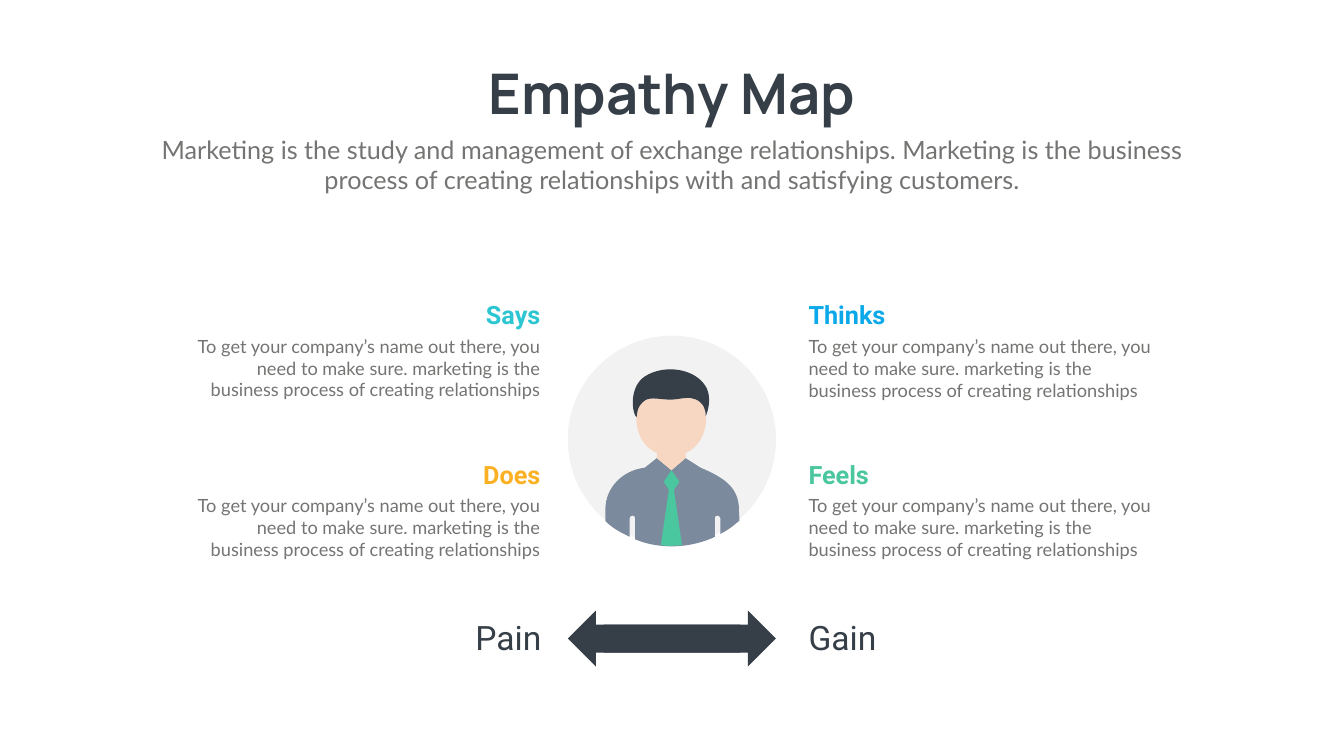
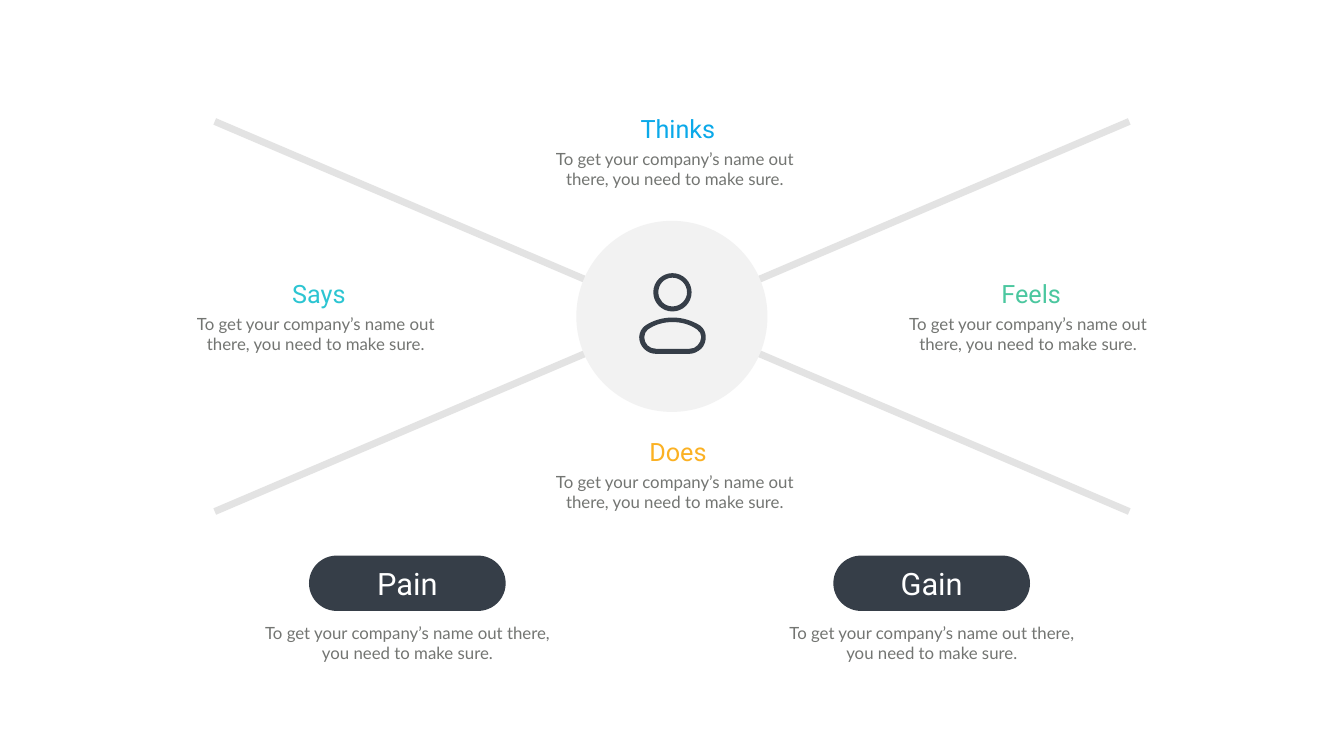
from lxml.etree import SubElement
from pptx import Presentation
from pptx.dml.color import RGBColor
from pptx.enum.shapes import MSO_CONNECTOR, MSO_SHAPE
from pptx.enum.text import MSO_ANCHOR, MSO_AUTO_SIZE, PP_ALIGN
from pptx.oxml.ns import qn
from pptx.util import Cm, Pt

WHITE = RGBColor(0xFF, 0xFF, 0xFF)
DARK = RGBColor(0x36, 0x3E, 0x48)
GREY = RGBColor(0x73, 0x75, 0x72)
PALE = RGBColor(0xF2, 0xF2, 0xF2)
RULE = RGBColor(0xE3, 0xE3, 0xE3)
TEAL = RGBColor(0x2C, 0xC5, 0xD2)
AMBER = RGBColor(0xFB, 0xB1, 0x23)
BLUE = RGBColor(0x0B, 0xA9, 0xE9)
GREEN = RGBColor(0x4B, 0xC7, 0x9F)
SLATE = RGBColor(0x7B, 0x8A, 0x9C)
SKIN = RGBColor(0xF7, 0xD7, 0xC2)

TITLE = {"name": "Manrope", "size": Pt(80), "bold": True}
SUBTITLE = {"name": "Lato", "size": Pt(36)}
HEADING = {"name": "Roboto", "size": Pt(36)}
BOLD_HEADING = {**HEADING, "bold": True}
BODY = {"name": "Lato", "size": Pt(26)}
SMALL_BODY = {"name": "Lato", "size": Pt(24)}
SCALE_LABEL = {"name": "Roboto", "size": Pt(48)}
PILL_LABEL = {"name": "Roboto", "size": Pt(44)}

LEFT, CENTER, RIGHT = PP_ALIGN.LEFT, PP_ALIGN.CENTER, PP_ALIGN.RIGHT
HEADING_WIDTH, HEADING_HEIGHT = 8.28, 1.8
GRID = Cm(2.54) / 100

LONG_TEXT = ("To get your company’s name out there, you need to make sure. "
             "marketing is the business process of creating relationships")
SHORT_TEXT = "To get your company’s name out there, you need to make sure."
INTRO = ("Marketing is the study and management of exchange relationships. "
         "Marketing is the business process of creating relationships with "
         "and satisfying customers.")

SHIRT = [
    (1303, 909), (1332, 933), (1360, 909), (1390, 928),
    (1432, 946, 1466, 965, 1466, 1011), (1466, 1015), (1467, 1033), (1462, 1037),
    (1452, 1046, 1441, 1053, 1430, 1059), (1429, 1060), (1429, 1028),
    (1429, 1025, 1426, 1023, 1423, 1023), (1420, 1023, 1418, 1025, 1418, 1028),
    (1418, 1065), (1412, 1068), (1388, 1078, 1361, 1084, 1333, 1084),
    (1312, 1084, 1292, 1081, 1273, 1075), (1260, 1070), (1260, 1028),
    (1260, 1025, 1258, 1023, 1255, 1023), (1252, 1023, 1249, 1025, 1249, 1028),
    (1249, 1065), (1237, 1059), (1225, 1053, 1214, 1046, 1204, 1037),
    (1201, 1034), (1201, 1015), (1201, 1010), (1201, 968, 1235, 933, 1279, 928),
]
FACE = [
    (1400, 826), (1400, 826, 1401, 801, 1379, 792),
    (1367, 786, 1350, 792, 1331, 793), (1312, 793, 1291, 787, 1280, 794),
    (1263, 806, 1264, 820, 1263, 827), (1263, 827, 1262, 827, 1262, 827),
    (1262, 860, 1276, 887, 1303, 899), (1303, 909), (1332, 933), (1360, 909),
    (1360, 899), (1387, 887, 1401, 860, 1401, 827),
    (1401, 827, 1400, 826, 1400, 825), (1400, 825, 1400, 826, 1400, 826),
]
HAIR = [
    (1396, 761), (1371, 729, 1314, 724, 1279, 747),
    (1246, 769, 1255, 822, 1262, 827), (1262, 827, 1262, 827, 1263, 827),
    (1264, 820, 1263, 806, 1280, 794), (1291, 787, 1312, 793, 1331, 793),
    (1350, 792, 1367, 786, 1379, 792), (1397, 799, 1400, 816, 1400, 823),
    (1400, 823, 1400, 823, 1400, 824), (1400, 825, 1400, 826, 1400, 826),
    (1400, 826, 1400, 825, 1400, 825), (1401, 824, 1417, 787, 1396, 761),
]
TIE = [
    (1332, 933), (1348, 956), (1337, 972), (1353, 1082), (1333, 1083),
    (1326, 1083, 1319, 1083, 1313, 1082), (1311, 1082), (1327, 972), (1317, 956),
]
HEAD_OUTER = [
    (1334, 618), (1313, 618, 1296, 601, 1296, 580), (1296, 559, 1313, 542, 1334, 542),
    (1355, 542, 1372, 559, 1372, 580), (1372, 601, 1355, 618, 1334, 618),
]
HEAD_INNER = [
    (1334, 551), (1318, 551, 1306, 564, 1306, 580), (1306, 595, 1318, 608, 1334, 608),
    (1350, 608, 1363, 595, 1363, 580), (1363, 564, 1350, 551, 1334, 551),
]
SHOULDERS_OUTER = [
    (1368, 702), (1301, 702), (1283, 702, 1268, 687, 1268, 669),
    (1268, 660, 1273, 651, 1280, 646), (1295, 636, 1314, 630, 1334, 630),
    (1354, 630, 1373, 636, 1389, 646), (1396, 651, 1400, 660, 1400, 668), (1400, 669),
    (1400, 678, 1397, 686, 1391, 692), (1384, 698, 1376, 702, 1368, 702),
]
SHOULDERS_INNER = [
    (1278, 669), (1278, 682, 1288, 692, 1301, 692), (1368, 692),
    (1374, 692, 1380, 690, 1384, 685), (1388, 681, 1391, 675, 1391, 669), (1391, 668),
    (1391, 663, 1388, 657, 1383, 654), (1370, 644, 1352, 639, 1334, 639),
    (1316, 639, 1299, 644, 1285, 654), (1281, 657, 1278, 663, 1278, 669),
]


def set_text(box, text, font_format, color, align, wrap=True):
    frame = box.text_frame
    frame.word_wrap = wrap
    frame.auto_size = MSO_AUTO_SIZE.SHAPE_TO_FIT_TEXT
    frame.vertical_anchor = MSO_ANCHOR.TOP
    para = frame.paragraphs[0]
    para.alignment = align
    span = para.add_run()
    span.text = text
    for name, value in font_format.items():
        setattr(span.font, name, value)
    span.font.color.rgb = color


def add_text(page, place, text, font_format, color=GREY, align=CENTER):
    box = page.shapes.add_textbox(*map(Cm, place))
    set_text(box, text, font_format, color, align)


def add_title(page, text):
    title = page.shapes.title
    place = {"left": Cm(23.39), "top": Cm(2.84), "width": Cm(20.93), "height": Cm(3.68)}
    for name, value in place.items():
        setattr(title, name, value)
    set_text(title, text, TITLE, DARK, CENTER, wrap=False)


def paint(shape, color):
    shape.shadow.inherit = False
    shape.fill.solid()
    shape.fill.fore_color.rgb = color
    shape.line.fill.background()


def add_preset(page, kind, place, color, adjustment=None, rotation=0):
    shape = page.shapes.add_shape(kind, *map(Cm, place))
    paint(shape, color)
    shape.rotation = rotation
    if adjustment is not None:
        shape.adjustments[0] = adjustment


def add_step(outline, tag, step, left, top):
    command = SubElement(outline, qn(tag))
    for x, y in zip(step[::2], step[1::2]):
        SubElement(command, qn("a:pt"), x=str(x - left), y=str(y - top))


def add_outline(page, color, bounds, *contours):
    left, top, right, bottom = bounds
    builder = page.shapes.build_freeform(left, top, scale=GRID)
    builder.add_line_segments([(right, bottom)])
    shape = builder.convert_to_shape()
    paint(shape, color)
    outline = next(shape.element.iter(qn("a:path")))
    for command in list(outline):
        outline.remove(command)
    for start, *steps in contours:
        add_step(outline, "a:moveTo", start, left, top)
        for step in steps:
            tag = "a:lnTo" if len(step) == 2 else "a:cubicBezTo"
            add_step(outline, tag, step, left, top)
        SubElement(outline, qn("a:close"))


def add_rule(page, start, end):
    rule = page.shapes.add_connector(MSO_CONNECTOR.STRAIGHT, *map(Cm, start + end))
    rule.line.color.rgb = RULE
    rule.line.width = Pt(10)
    SubElement(rule.element.spPr, qn("a:effectLst"))


def add_side_note(page, heading, color, top, align):
    heading_left, body_left = (19.2, 9.09) if align == RIGHT else (40.49, 40.49)
    add_text(page, (body_left, top + HEADING_HEIGHT, 18.39, 3.58), LONG_TEXT, BODY,
             align=align)
    add_text(page, (heading_left, top, HEADING_WIDTH, HEADING_HEIGHT), heading,
             BOLD_HEADING, color, align)


def add_quadrant(page, heading, color, left, top):
    add_text(page, (left, top + HEADING_HEIGHT, 13.74, 2.31), SHORT_TEXT, SMALL_BODY)
    add_text(page, (left + 2.89, top, HEADING_WIDTH, HEADING_HEIGHT), heading,
             HEADING, color)


def add_pill(page, label, left):
    add_preset(page, MSO_SHAPE.ROUNDED_RECTANGLE, (left, 28, 9.91, 2.79), DARK, 0.5)
    add_text(page, (left + 0.51, 28.32, 8.89, 2.13), label, PILL_LABEL, WHITE)
    add_text(page, (left - 2.7, 31.24, 15.32, 2.31), SHORT_TEXT, SMALL_BODY)


def build_portrait_map(deck):
    page = deck.slides.add_slide(deck.slide_layouts[5])
    add_title(page, "Empathy Map")
    add_text(page, (7.42, 6.63, 52.88, 3.33), INTRO, SUBTITLE)
    for heading, color, top, align in (("Says", TEAL, 14.96, RIGHT),
                                       ("Does", AMBER, 23, RIGHT),
                                       ("Thinks", BLUE, 14.97, LEFT),
                                       ("Feels", GREEN, 23, LEFT)):
        add_side_note(page, heading, color, top, align)
    add_preset(page, MSO_SHAPE.OVAL, (28.61, 16.92, 10.49, 10.49), PALE)
    for color, bounds, contour in ((SLATE, (1201, 909, 1467, 1084), SHIRT),
                                   (SKIN, (1260, 786, 1401, 936), FACE),
                                   (DARK, (1252, 729, 1407, 828), HAIR),
                                   (GREEN, (1311, 933, 1354, 1083), TIE)):
        add_outline(page, color, bounds, contour)
    for label, left, align in (("Gain", 40.49, LEFT), ("Pain", 19.25, RIGHT)):
        add_text(page, (left, 30.95, HEADING_WIDTH, 2.31), label, SCALE_LABEL, DARK, align)
    for left, rotation in ((30.41, 0), (28.61, 180)):
        add_preset(page, MSO_SHAPE.RIGHT_ARROW, (left, 30.77, 8.69, 2.82), DARK,
                   rotation=rotation)


def build_cross_map(deck):
    page = deck.slides.add_slide(deck.slide_layouts[6])
    for label, left in (("Gain", 41.99), ("Pain", 15.57)):
        add_pill(page, label, left)
    add_rule(page, (10.82, 25.78), (56.9, 6.12))
    add_rule(page, (56.9, 25.78), (10.82, 6.12))
    add_preset(page, MSO_SHAPE.OVAL, (29.04, 11.13, 9.63, 9.63), PALE)
    for heading, color, left, top in (("Thinks", BLUE, 27.13, 5.57),
                                      ("Says", TEAL, 9.04, 13.89),
                                      ("Feels", GREEN, 44.93, 13.89),
                                      ("Does", AMBER, 27.13, 21.84)):
        add_quadrant(page, heading, color, left, top)
    add_outline(page, DARK, (1296, 542, 1372, 618), HEAD_OUTER, HEAD_INNER)
    add_outline(page, DARK, (1268, 630, 1400, 702), SHOULDERS_OUTER, SHOULDERS_INNER)


def main():
    deck = Presentation()
    deck.slide_width, deck.slide_height = Cm(67.72), Cm(38.1)
    build_portrait_map(deck)
    build_cross_map(deck)
    deck.save("out.pptx")


if __name__ == "__main__":
    main()
